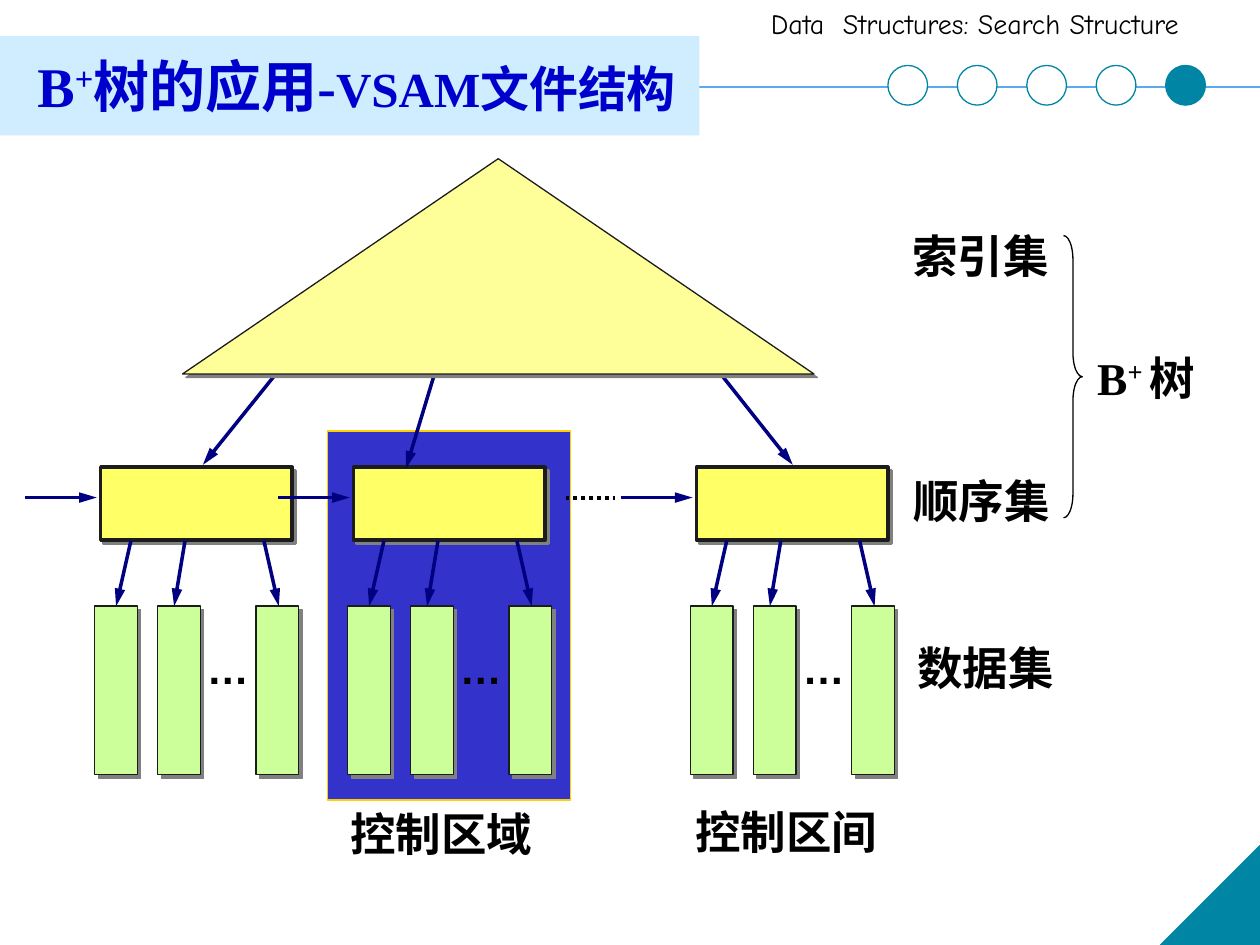
from lxml import etree
from pptx import Presentation
from pptx.dml.color import RGBColor
from pptx.enum import dml, shapes, text
from pptx.oxml.ns import qn
from pptx.util import Cm, Pt

BLACK = RGBColor(0x00, 0x00, 0x00)
WHITE = RGBColor(0xFF, 0xFF, 0xFF)
INK = RGBColor(0x1C, 0x1C, 0x1C)
NAVY = RGBColor(0x00, 0x00, 0x80)
TITLE_BLUE = RGBColor(0x00, 0x00, 0xCC)
SKY = RGBColor(0x5A, 0xAA, 0xED)
PALE_BLUE = RGBColor(0xCF, 0xED, 0xFE)
TEAL = RGBColor(0x00, 0x85, 0xA4)
AREA_BLUE = RGBColor(0x33, 0x33, 0xCC)
GOLD = RGBColor(0xFF, 0xCF, 0x01)
GREEN = RGBColor(0xCC, 0xFF, 0x99)
YELLOW = RGBColor(0xFF, 0xFF, 0x66)
PALE_YELLOW = RGBColor(0xFF, 0xFF, 0x99)
SERIF = "Times New Roman"
KIND = shapes.MSO_SHAPE

prs = Presentation()
prs.slide_width, prs.slide_height = Cm(25.4), Cm(19.05)
s = prs.slides.add_slide(prs.slide_layouts[5])


def add_shape(kind, x, y, w, h, fill=None, line=None, width=0.75, shadow=False):
    sp = s.shapes.add_shape(kind, Cm(x), Cm(y), Cm(w), Cm(h))
    sp.shadow.inherit = False
    if fill is None:
        sp.fill.background()
    else:
        sp.fill.solid()
        sp.fill.fore_color.rgb = fill
    if line is None:
        sp.line.fill.background()
    else:
        sp.line.color.rgb = line
        sp.line.width = Pt(width)
    if shadow:
        effects = sp._element.spPr.find(qn("a:effectLst"))
        outer = etree.SubElement(effects, qn("a:outerShdw"), dist="35921",
                                 dir="2700000", algn="ctr", rotWithShape="0")
        etree.SubElement(outer, qn("a:srgbClr"), val="808080")
    return sp


def add_line(x1, y1, x2, y2, color=NAVY, width=2, arrow=True):
    c = s.shapes.add_connector(shapes.MSO_CONNECTOR.STRAIGHT,
                               Cm(x1), Cm(y1), Cm(x2), Cm(y2))
    c.line.color.rgb = color
    c.line.width = Pt(width)
    if arrow:
        etree.SubElement(c.line._get_or_add_ln(), qn("a:tailEnd"),
                         type="triangle", w="med", len="lg")
    etree.SubElement(c._element.spPr, qn("a:effectLst"))
    return c


# Header rule, progress circles and corner
add_line(0, 1.75, 25.4, 1.75, SKY, 1, arrow=False)
for i in range(5):
    add_shape(KIND.OVAL, 17.9 + 1.4 * i, 1.32, 0.8, 0.8,
              TEAL if i == 4 else WHITE, TEAL)
corner = add_shape(KIND.RIGHT_TRIANGLE, 23.4, 17.05, 2, 2, TEAL, TEAL)
corner._element.spPr.xfrm.set("flipH", "1")

# Title on its band
add_shape(KIND.RECTANGLE, 0, 0.73, 14.1, 2, PALE_BLUE)
title = s.shapes.title
s.shapes._spTree.append(title._element)
title.left, title.top, title.width, title.height = Cm(0.5), Cm(0.92), Cm(15), Cm(1.6)
tf = title.text_frame
tf.vertical_anchor = text.MSO_ANCHOR.MIDDLE
tf.auto_size = text.MSO_AUTO_SIZE.NONE
p = tf.paragraphs[0]
p.alignment = text.PP_ALIGN.LEFT
for words, size in (("B", 32), ("+", 32), ("树的应用-", 32), ("VSAM文件结构", 28)):
    r = p.add_run()
    r.text = words
    r.font.name, r.font.size, r.font.bold = SERIF, Pt(size), True
    r.font.color.rgb = TITLE_BLUE
    if words == "+":
        r.font._element.set("baseline", "30000")

# Control area behind the middle column
add_shape(KIND.RECTANGLE, 6.6, 8.69, 4.9, 7.44, AREA_BLUE, GOLD)

# Columns: sequence-set node, its data blocks and arrows
columns = (1.91, 7.01, 13.92)
for x in columns:
    for dx in (0, 1.27, 3.25):
        add_shape(KIND.RECTANGLE, x, 12.22, 0.86, 3.4, GREEN, INK, shadow=True)\
            .left = Cm(x + dx)
    add_shape(KIND.RECTANGLE, x + 0.12, 9.42, 3.86, 1.47, YELLOW, INK, 2, shadow=True)
    for start, end in ((0.73, 0.43), (1.82, 1.6), (3.41, 3.71)):
        add_line(x + start, 10.9, x + end, 12.22)
    add_line(x - 1.41, 10.03, x + 0.04, 10.03)
dots = add_line(11.4, 10.03, 12.4, 10.03, BLACK, 2.25, arrow=False)
dots.line.dash_style = dml.MSO_LINE.ROUND_DOT

# Index set and its arrows to the nodes
for x1, y1, x2, y2 in ((5.64, 7.44, 4.09, 9.37), (8.81, 7.37, 8.18, 9.45),
                       (14.45, 7.44, 15.98, 9.37)):
    add_line(x1, y1, x2, y2)
add_shape(KIND.ISOSCELES_TRIANGLE, 3.68, 3.2, 12.73, 4.34, PALE_YELLOW, INK, shadow=True)

# Brace joining index set and sequence set
brace = add_shape(KIND.RIGHT_BRACE, 21.44, 4.75, 0.38, 5.69, line=BLACK)
brace.adjustments[0] = 1.28

# Labels: left, top, width, height, runs, font, size, bold
labels = [
    (15.29, 0, 10.2, 0.94, ["Data  Structures: Search Structure"], "Comic Neue", 16, False),
    (18.14, 4.47, 3.66, 2.24, ["索引集"], SERIF, 26, True),
    (18.16, 9.42, 3.66, 2.24, ["顺序集"], SERIF, 26, True),
    (18.24, 12.78, 3.66, 2.24, ["数据集"], SERIF, 26, True),
    (21.87, 6.93, 3.15, 2.24, ["B", "+ ", "树"], SERIF, 26, True),
    (6.81, 16.13, 4.34, 1.6, ["控制区域"], SERIF, 26, True),
    (13.77, 16.08, 4.34, 2.24, ["控制区间"], SERIF, 26, True),
]
labels += [(x + 2.01, 12.83, 1.78, 2.31, ["…"], "Arial", 24, True) for x in columns]
for x, y, w, h, runs, font, size, bold in labels:
    tf = s.shapes.add_textbox(Cm(x), Cm(y), Cm(w), Cm(h)).text_frame
    tf.word_wrap = True
    p = tf.paragraphs[0]
    p.font.name, p.font.size, p.font.bold = font, Pt(size), bold
    p.font.color.rgb = BLACK
    for words in runs:
        r = p.add_run()
        r.text = words
        if words == "+ ":
            r.font._element.set("baseline", "30000")

prs.save("out.pptx")
